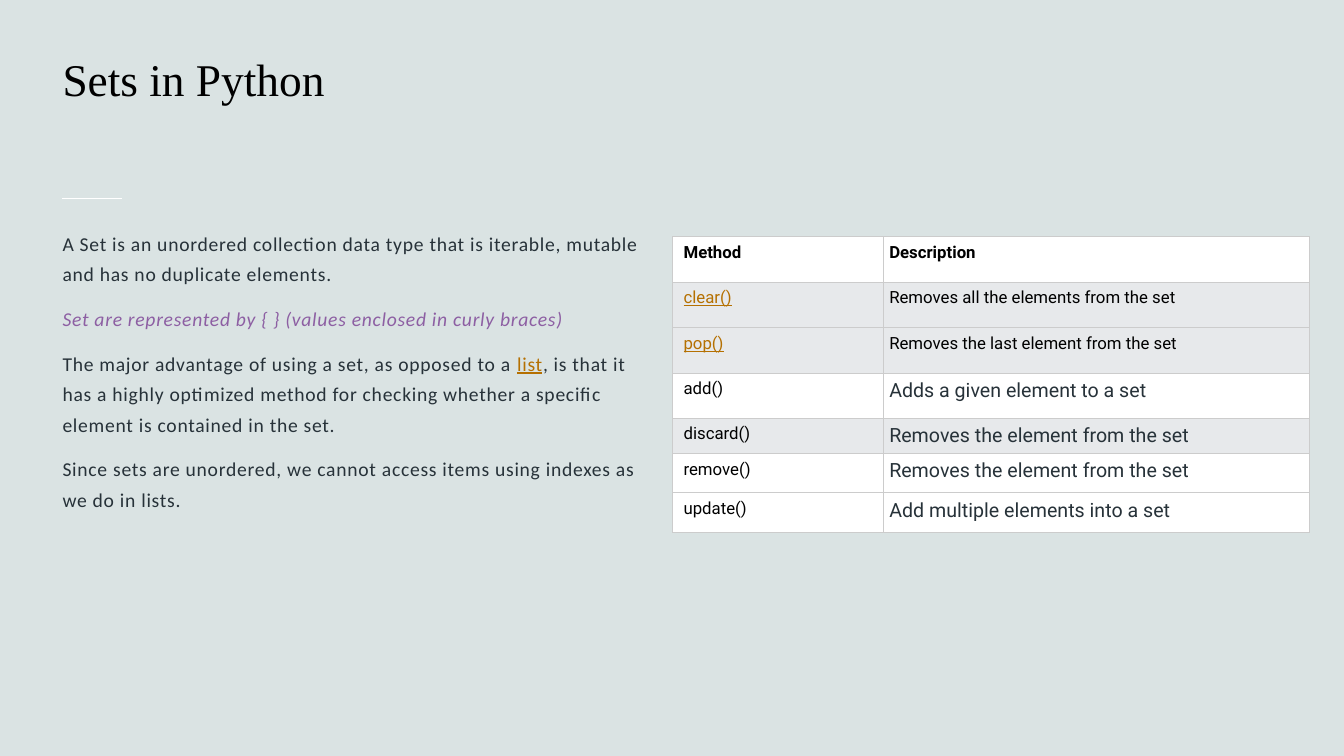
from lxml import etree
from pptx import Presentation
from pptx.dml.color import RGBColor
from pptx.enum.shapes import MSO_CONNECTOR
from pptx.enum.text import MSO_ANCHOR, MSO_AUTO_SIZE, PP_ALIGN
from pptx.oxml.ns import qn
from pptx.util import Inches, Pt

STRAIGHT = MSO_CONNECTOR.STRAIGHT
TOP, BOTTOM = MSO_ANCHOR.TOP, MSO_ANCHOR.BOTTOM
NO_AUTOFIT = MSO_AUTO_SIZE.NONE
LEFT = PP_ALIGN.LEFT

BACKGROUND, WHITE, GREY, BORDER = "DAE3E3", "FFFFFF", "E7E9EB", "CCCCCC"
BLACK, INK, PURPLE, LINK = "000000", "273239", "8D5FA3", "B57001"

BODY_PARAGRAPHS = [
    [("A Set is an unordered collection data type that is iterable, mutable "
      "and has no duplicate elements.", {})],
    [("Set are represented by { } (values enclosed in curly braces)",
      {"color": PURPLE, "italic": True})],
    [("The major advantage of using a set, as opposed to a ", {}),
     ("list", {"color": LINK, "underline": True}),
     (", is that it has a highly optimized method for checking whether a "
      "specific element is contained in the set.", {})],
    [("Since sets are unordered, we cannot access items using indexes as "
      "we do in lists.", {})],
]

HEADING = {"bold": True}
LINKED = {"color": LINK, "underline": True}
LARGE = {"size": 14, "color": INK}
# Row height, fill, method, method format, description, description format
METHOD_ROWS = [
    (0.45, WHITE, "Method", HEADING, "Description", HEADING),
    (0.45, GREY, "clear()", LINKED, "Removes all the elements from the set", {}),
    (0.45, GREY, "pop()", LINKED, "Removes the last element from the set", {}),
    (0.45, WHITE, "add()", {}, "Adds a given element to a set", LARGE),
    (0.34, GREY, "discard()", {}, "Removes the element from the set", LARGE),
    (0.39, WHITE, "remove()", {}, "Removes the element from the set", LARGE),
    (0.39, WHITE, "update()", {}, "Add multiple elements into a set", LARGE),
]


def rgb(color):
    return RGBColor.from_string(color)


def add_text(paragraph, text, font="Roboto", size=12, color=BLACK, bold=False,
             italic=False, underline=False, spacing=0):
    """Add a formatted run; spacing is the letter spacing in points."""
    run = paragraph.add_run()
    run.text = text
    run.font.name = font
    run.font.size = Pt(size)
    run.font.color.rgb = rgb(color)
    run.font.bold = bold
    run.font.italic = italic
    run.font.underline = underline
    if spacing:
        run._r.get_or_add_rPr().set("spc", str(round(spacing * 100)))


def place_placeholder(shape, left, top, width, height, anchor):
    shape.left, shape.top = Inches(left), Inches(top)
    shape.width, shape.height = Inches(width), Inches(height)
    frame = shape.text_frame
    frame.word_wrap = True
    frame.auto_size = NO_AUTOFIT
    frame.vertical_anchor = anchor
    frame.margin_left, frame.margin_right = 0, Inches(0.1)
    frame.margin_top = frame.margin_bottom = Inches(0.05)
    return frame


def fill_title(slide, left, top, width, height):
    frame = place_placeholder(slide.shapes.title, left, top, width, height, BOTTOM)
    paragraph = frame.paragraphs[0]
    paragraph.alignment = LEFT
    add_text(paragraph, "Sets in Python", font="Times New Roman", size=32.4)


def add_rule(slide, left, top, width):
    line = slide.shapes.add_connector(
        STRAIGHT, Inches(left), Inches(top), Inches(left + width), Inches(top))
    line.line.color.rgb = rgb(WHITE)
    line.line.width = Pt(1)
    etree.SubElement(line._element.spPr, qn("a:effectLst"))


def fill_body(slide, left, top, width, height):
    frame = place_placeholder(slide.placeholders[1], left, top, width, height, TOP)
    for index, runs in enumerate(BODY_PARAGRAPHS):
        paragraph = frame.add_paragraph() if index else frame.paragraphs[0]
        properties = paragraph._p.get_or_add_pPr()
        properties.set("marL", "0")
        properties.set("indent", "0")
        etree.SubElement(properties, qn("a:buNone"))
        paragraph.alignment = LEFT
        paragraph.line_spacing = 1.3
        paragraph.space_before = Pt(10 if index else 0)
        for text, style in runs:
            add_text(paragraph, text, **{"font": "Calibri", "size": 14,
                                         "color": INK, "spacing": 0.5, **style})


def add_borders(cell):
    properties = cell._tc.get_or_add_tcPr()
    for side in ("lnL", "lnR", "lnT", "lnB"):
        border = etree.SubElement(properties, qn(f"a:{side}"), w=str(Pt(0.75)))
        fill = etree.SubElement(border, qn("a:solidFill"))
        etree.SubElement(fill, qn("a:srgbClr"), val=BORDER)


def fill_cell(cell, text, style, fill, margin_left):
    add_borders(cell)
    cell.fill.solid()
    cell.fill.fore_color.rgb = rgb(fill)
    cell.vertical_anchor = TOP
    cell.margin_left = Inches(margin_left)
    cell.margin_right = cell.margin_top = cell.margin_bottom = Inches(0.06)
    add_text(cell.text_frame.paragraphs[0], text, **style)


def add_method_table(slide, left, top, width):
    height = sum(row[0] for row in METHOD_ROWS)
    table = slide.shapes.add_table(
        len(METHOD_ROWS), 2, Inches(left), Inches(top),
        Inches(width), Inches(height)).table
    table.first_row = table.horz_banding = False
    method_width = 2.09
    table.columns[0].width = Inches(method_width)
    table.columns[1].width = Inches(width - method_width)
    for index, row in enumerate(METHOD_ROWS):
        row_height, fill, method, method_style, description, description_style = row
        table.rows[index].height = Inches(row_height)
        fill_cell(table.cell(index, 0), method, method_style, fill, 0.11)
        fill_cell(table.cell(index, 1), description, description_style, fill, 0.06)


def main():
    presentation = Presentation()
    presentation.slide_width = Inches(13.33)
    presentation.slide_height = Inches(7.5)
    slide = presentation.slides.add_slide(presentation.slide_layouts[1])
    slide.background.fill.solid()
    slide.background.fill.fore_color.rgb = rgb(BACKGROUND)
    margin = 0.62
    add_rule(slide, margin, 1.97, 0.59)
    fill_title(slide, margin, 0.44, 12.14, 0.66)
    fill_body(slide, margin, 2.18, 5.9, 3.07)
    add_method_table(slide, 6.67, 2.35, 6.32)
    presentation.save("out.pptx")


if __name__ == "__main__":
    main()
